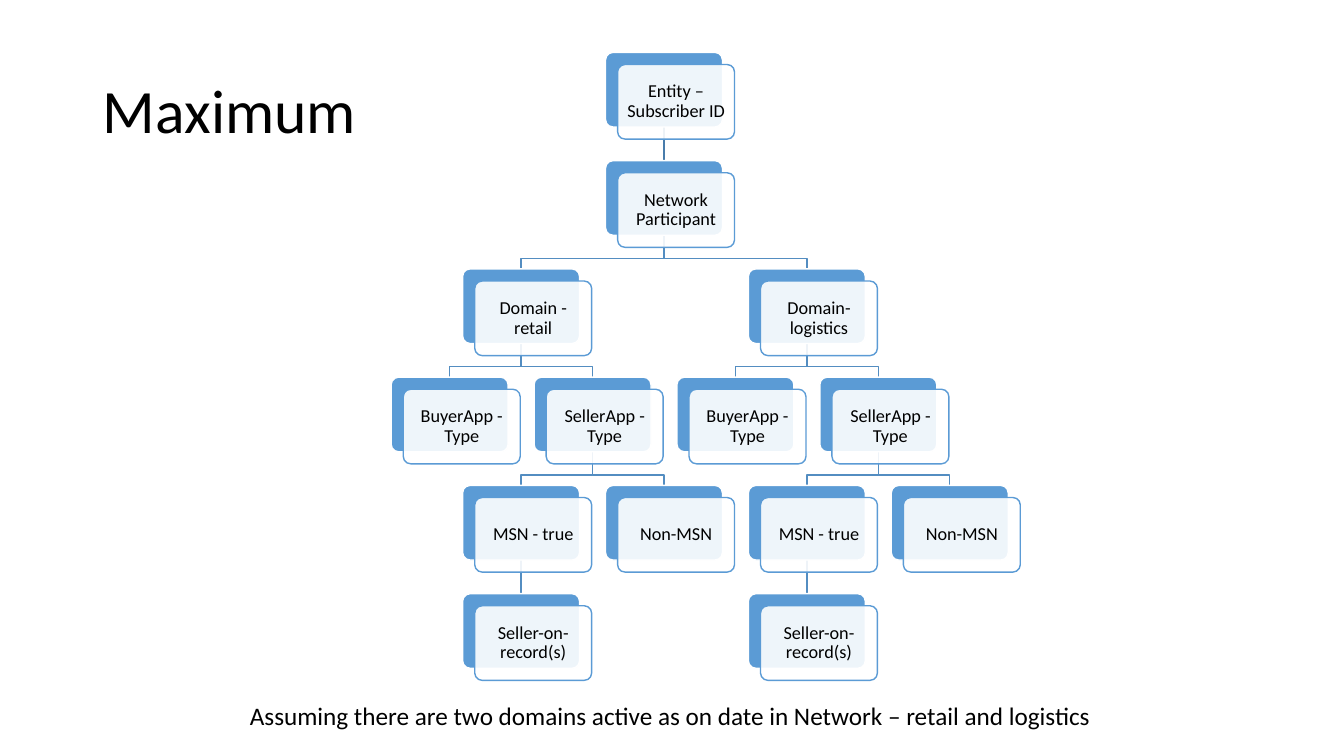
from lxml import etree
from pptx import Presentation
from pptx.dml.color import RGBColor
from pptx.enum.shapes import MSO_CONNECTOR, MSO_SHAPE
from pptx.enum.text import MSO_ANCHOR, PP_ALIGN
from pptx.oxml.ns import qn
from pptx.util import Inches, Pt

TITLE = "Maximum"
NOTE = "Assuming there are two domains active as on date in Network – retail and logistics"


def domain_branch(name):
    return (name, [
        ("BuyerApp - Type", []),
        ("SellerApp - Type", [
            ("MSN - true", [("Seller-on-record(s)", [])]),
            ("Non-MSN", []),
        ]),
    ])


HIERARCHY = ("Entity – Subscriber ID", [
    ("Network Participant", [
        domain_branch("Domain - retail"),
        domain_branch("Domain-logistics"),
    ]),
])

BLACK = RGBColor(0x00, 0x00, 0x00)
WHITE = RGBColor(0xFF, 0xFF, 0xFF)
CARD_BLUE = RGBColor(0x5B, 0x9B, 0xD5)
LINK_BLUE = RGBColor(0x53, 0x8D, 0xC1)
ROOT_LINK_BLUE = RGBColor(0x49, 0x7C, 0xAB)

# Inches
CARD_W, CARD_H, CARD_SHIFT = 1.16, 0.74, 0.12
TREE_LEFT, TREE_TOP = 3.88, 0.52
COLUMN_STEP = (8.84 - TREE_LEFT) / 7
ROW_STEP = (5.89 - TREE_TOP) / 5
BEND = 0.23
ROOT_COLUMN = 3
# Columns from a parent to each of its two children, by the parent's row
SPREAD = {1: 2, 2: 1, 3: 1}


def write(shape, text, size, align=PP_ALIGN.LEFT, anchor=MSO_ANCHOR.TOP,
          spacing=1.0, inset=None):
    frame = shape.text_frame
    frame.word_wrap = True
    frame.vertical_anchor = anchor
    if inset is not None:
        frame.margin_left = frame.margin_right = Inches(inset)
        frame.margin_top = frame.margin_bottom = Inches(inset)
    paragraph = frame.paragraphs[0]
    paragraph.alignment = align
    paragraph.line_spacing = spacing
    run = paragraph.add_run()
    run.text = text
    run.font.name = "Calibri"
    run.font.size = Pt(size)
    run.font.color.rgb = BLACK


def place(node, row=0, column=ROOT_COLUMN):
    """Return the cards and the parent-to-child links of a subtree."""
    text, children = node
    cards, links = [(text, row, column)], []
    offsets = [0] if len(children) == 1 else [-SPREAD.get(row, 0), SPREAD.get(row, 0)]
    for child, offset in zip(children, offsets):
        links.append((row, column, column + offset))
        child_cards, child_links = place(child, row + 1, column + offset)
        cards += child_cards
        links += child_links
    return cards, links


def draw_link(shapes, row, parent_column, child_column):
    start_x, end_x = (Inches(TREE_LEFT + column * COLUMN_STEP + CARD_W / 2)
                      for column in (parent_column, child_column))
    top = TREE_TOP + row * ROW_STEP + CARD_H
    start_y, bend_y = Inches(top), Inches(top + BEND)
    end_y = Inches(TREE_TOP + (row + 1) * ROW_STEP)
    if start_x == end_x:
        link = shapes.add_connector(MSO_CONNECTOR.STRAIGHT, start_x, start_y, end_x, end_y)
        etree.SubElement(link._element.spPr, qn("a:effectLst"))
    else:
        outline = shapes.build_freeform(start_x, start_y)
        outline.add_line_segments(
            [(start_x, bend_y), (end_x, bend_y), (end_x, end_y)], close=False)
        link = outline.convert_to_shape()
        link.fill.background()
        link.shadow.inherit = False
    link.line.color.rgb = ROOT_LINK_BLUE if row == 0 else LINK_BLUE
    link.line.width = Pt(1)


def add_panel(shapes, left, top, fill, line):
    panel = shapes.add_shape(MSO_SHAPE.ROUNDED_RECTANGLE, Inches(left), Inches(top),
                             Inches(CARD_W), Inches(CARD_H))
    panel.adjustments[0] = 0.1
    panel.shadow.inherit = False
    panel.fill.solid()
    panel.fill.fore_color.rgb = fill
    panel.line.color.rgb = line
    panel.line.width = Pt(1)
    return panel


def draw_card(shapes, text, row, column):
    left = TREE_LEFT + column * COLUMN_STEP
    top = TREE_TOP + row * ROW_STEP
    add_panel(shapes, left, top, CARD_BLUE, WHITE)
    front = add_panel(shapes, left + CARD_SHIFT, top + CARD_SHIFT, WHITE, CARD_BLUE)
    fill_color = front._element.spPr.find(qn("a:solidFill")).find(qn("a:srgbClr"))
    etree.SubElement(fill_color, qn("a:alpha"), val="90000")
    write(front, text, 13, align=PP_ALIGN.CENTER, anchor=MSO_ANCHOR.MIDDLE,
          spacing=0.9, inset=0.05)


def main():
    deck = Presentation()
    deck.slide_width, deck.slide_height = Inches(13.33), Inches(7.5)
    slide = deck.slides.add_slide(deck.slide_layouts[5])
    shapes = slide.shapes

    title = shapes.title
    title.left, title.top = Inches(0.92), Inches(0.4)
    title.width, title.height = Inches(11.5), Inches(1.45)
    write(title, TITLE, 44, anchor=MSO_ANCHOR.MIDDLE, spacing=0.9)

    cards, links = place(HIERARCHY)
    for link in links:
        draw_link(shapes, *link)
    for card in cards:
        draw_card(shapes, *card)

    note = shapes.add_textbox(Inches(2.38), Inches(6.9), Inches(10.03), Inches(0.4))
    write(note, NOTE, 18)
    deck.save("out.pptx")


if __name__ == "__main__":
    main()
